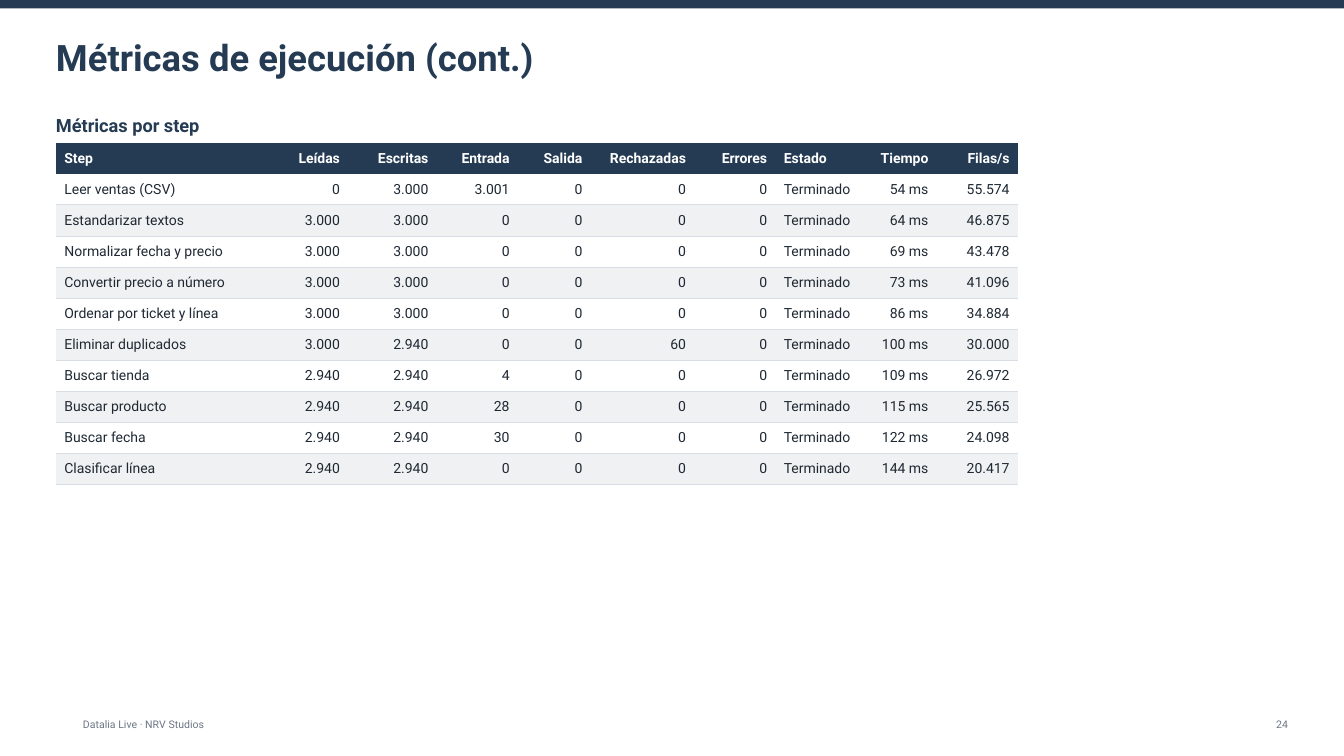
from dataclasses import dataclass

from lxml.etree import SubElement
from pptx import Presentation
from pptx.dml.color import RGBColor
from pptx.enum.shapes import MSO_SHAPE
from pptx.enum.text import MSO_ANCHOR as Anchor, PP_ALIGN as Align
from pptx.oxml.ns import qn
from pptx.slide import Slide
from pptx.table import _Cell as Cell
from pptx.text.text import _Paragraph as Paragraph
from pptx.util import Inches, Pt

NAVY = RGBColor(0x24, 0x3B, 0x53)
INK = RGBColor(0x1F, 0x29, 0x33)
GREY = RGBColor(0x6B, 0x77, 0x85)
RULE = RGBColor(0xD9, 0xDE, 0xE5)
STRIPE = RGBColor(0xF0, 0xF1, 0xF3)
WHITE = RGBColor(0xFF, 0xFF, 0xFF)
FONT = "Roboto"
NO_STYLE = "{2D5ABB26-0587-4C30-8999-92F81FD0307C}"

# The slide is a grid of 24 columns by 27 rows
WIDTH, HEIGHT = Inches(40 / 3), Inches(7.5)
COLUMNS, ROWS = 24, 27


def across(columns: float) -> int:
    return round(WIDTH * columns / COLUMNS)


def down(rows: float) -> int:
    return round(HEIGHT * rows / ROWS)


@dataclass(frozen=True)
class Label:
    text: str
    left: float
    top: float
    width: float
    height: float
    size: float
    color: RGBColor
    bold: bool = False
    align: Align = Align.LEFT
    anchor: Anchor = Anchor.MIDDLE
    inset: float = 0.1


@dataclass(frozen=True)
class Field:
    heading: str
    width: float
    align: Align = Align.RIGHT


LABELS = [
    Label("Métricas de ejecución (cont.)", 1, 0.8, 22, 2.5, 26, NAVY, bold=True, inset=0.18),
    Label("Datalia Live · NRV Studios", 1.48, 25.4, 10, 0.9, 7.5, GREY),
    Label("24", 20, 25.4, 3, 0.9, 7.5, GREY, align=Align.RIGHT),
    Label("Métricas por step", 1, 4, 22, 1, 13, NAVY, bold=True, anchor=Anchor.TOP),
]

FIELDS = [
    Field("Step", 3.92, Align.LEFT),
    Field("Leídas", 1.3),
    Field("Escritas", 1.58),
    Field("Entrada", 1.45),
    Field("Salida", 1.3),
    Field("Rechazadas", 1.85),
    Field("Errores", 1.45),
    Field("Estado", 1.58, Align.LEFT),
    Field("Tiempo", 1.3),
    Field("Filas/s", 1.45),
]

STEPS = [
    ("Leer ventas (CSV)", "0", "3.000", "3.001", "0", "0", "0", "Terminado", "54 ms", "55.574"),
    ("Estandarizar textos", "3.000", "3.000", "0", "0", "0", "0", "Terminado", "64 ms", "46.875"),
    ("Normalizar fecha y precio", "3.000", "3.000", "0", "0", "0", "0", "Terminado", "69 ms", "43.478"),
    ("Convertir precio a número", "3.000", "3.000", "0", "0", "0", "0", "Terminado", "73 ms", "41.096"),
    ("Ordenar por ticket y línea", "3.000", "3.000", "0", "0", "0", "0", "Terminado", "86 ms", "34.884"),
    ("Eliminar duplicados", "3.000", "2.940", "0", "0", "60", "0", "Terminado", "100 ms", "30.000"),
    ("Buscar tienda", "2.940", "2.940", "4", "0", "0", "0", "Terminado", "109 ms", "26.972"),
    ("Buscar producto", "2.940", "2.940", "28", "0", "0", "0", "Terminado", "115 ms", "25.565"),
    ("Buscar fecha", "2.940", "2.940", "30", "0", "0", "0", "Terminado", "122 ms", "24.098"),
    ("Clasificar línea", "2.940", "2.940", "0", "0", "0", "0", "Terminado", "144 ms", "20.417"),
]
TABLE_LEFT, TABLE_TOP, TABLE_ROW = 1, 5.1, 1.11


def write(paragraph: Paragraph, text: str, size: float, color: RGBColor,
          bold: bool, align: Align) -> None:
    paragraph.alignment = align
    run = paragraph.add_run()
    run.text = text
    run.font.name = FONT
    run.font.size = Pt(size)
    run.font.bold = bold
    run.font.color.rgb = color


def add_label(slide: Slide, label: Label) -> None:
    shape = slide.shapes.add_textbox(across(label.left), down(label.top),
                                     across(label.width), down(label.height))
    frame = shape.text_frame
    frame.word_wrap = True
    frame.vertical_anchor = label.anchor
    frame.margin_left = frame.margin_right = 0
    frame.margin_top = frame.margin_bottom = down(label.inset)
    write(frame.paragraphs[0], label.text, label.size, label.color, label.bold, label.align)


def add_top_band(slide: Slide) -> None:
    band = slide.shapes.add_shape(MSO_SHAPE.RECTANGLE, 0, 0, WIDTH, down(0.3))
    band.shadow.inherit = False
    band.fill.solid()
    band.fill.fore_color.rgb = NAVY
    band.line.fill.background()


def underline_cell(cell: Cell, color: RGBColor) -> None:
    properties = cell._tc.get_or_add_tcPr()
    line = SubElement(properties, qn("a:lnB"), w=str(Pt(0.75)))
    fill = SubElement(line, qn("a:solidFill"))
    SubElement(fill, qn("a:srgbClr"), val=str(color))


def fill_cell(cell: Cell, text: str, align: Align, row: int) -> None:
    header = row == 0
    underline_cell(cell, NAVY if header else RULE)
    cell.fill.solid()
    cell.fill.fore_color.rgb = NAVY if header else (STRIPE, WHITE)[row % 2]
    cell.vertical_anchor = Anchor.MIDDLE
    cell.margin_left = cell.margin_right = across(0.15)
    cell.margin_top = cell.margin_bottom = down(0.15)
    write(cell.text_frame.paragraphs[0], text, 10, WHITE if header else INK, header, align)


def add_step_table(slide: Slide) -> None:
    lines = [tuple(field.heading for field in FIELDS), *STEPS]
    shape = slide.shapes.add_table(
        len(lines), len(FIELDS), across(TABLE_LEFT), down(TABLE_TOP),
        across(sum(field.width for field in FIELDS)), down(TABLE_ROW * len(lines)))
    table = shape.table
    table.horz_banding = False
    next(shape.element.iter(qn("a:tableStyleId"))).text = NO_STYLE
    for column, field in zip(table.columns, FIELDS):
        column.width = across(field.width)
    for row, line in enumerate(lines):
        table.rows[row].height = down(TABLE_ROW)
        for column, (field, text) in enumerate(zip(FIELDS, line)):
            fill_cell(table.cell(row, column), text, field.align, row)


def main() -> None:
    presentation = Presentation()
    presentation.slide_width, presentation.slide_height = WIDTH, HEIGHT
    slide = presentation.slides.add_slide(presentation.slide_layouts[6])

    # Band, headings and footer
    add_top_band(slide)
    for label in LABELS:
        add_label(slide, label)

    # Figures for each step
    add_step_table(slide)
    presentation.save("out.pptx")


if __name__ == "__main__":
    main()
